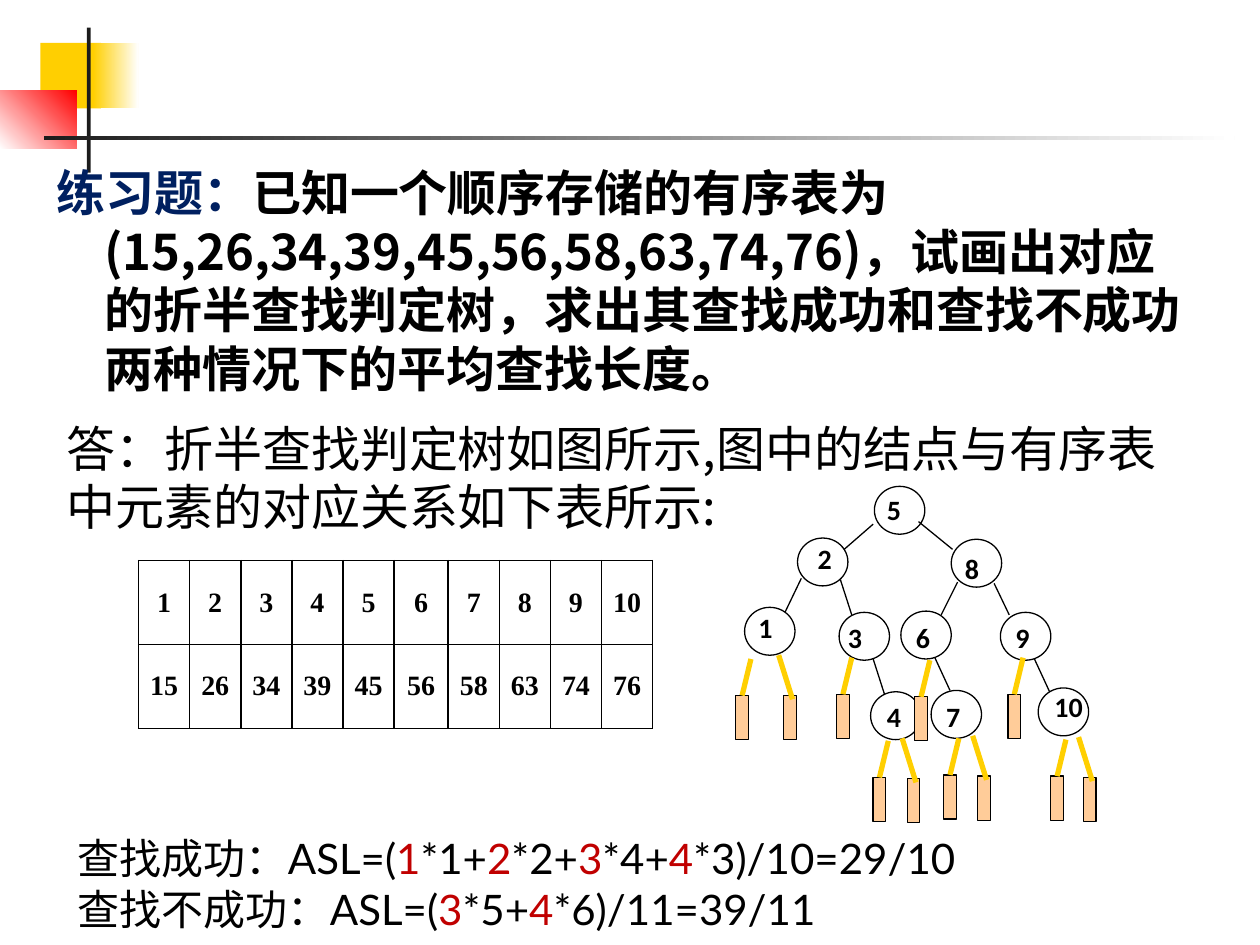
from typing import NamedTuple

from lxml import etree
from pptx import Presentation, util as u
from pptx.dml.color import RGBColor
from pptx.enum import shapes, text
from pptx.oxml import ns

INK = {
    "black": "000000", "white": "FFFFFF", "navy": "002060", "crimson": "C00000",
    "gold": "FFCF01", "red": "FF0000", "coal": "1C1C1C", "peach": "FFCC99",
}
CJK = "Noto Sans CJK SC"
RECT, OVAL = shapes.MSO_SHAPE.RECTANGLE, shapes.MSO_SHAPE.OVAL


class Bar(NamedTuple):
    x: float
    y: float
    w: float
    h: float
    hue: str
    end: str = ""
    angle: float = 0


class Node(NamedTuple):
    label: str
    x: float
    y: float
    dx: float  # offset of the label box from the circle
    dy: float


class Edge(NamedTuple):
    x1: float
    y1: float
    x2: float
    y2: float


class Leaf(NamedTuple):
    x: float
    y: float
    right: bool = False


class Run(NamedTuple):
    words: str
    hue: str = "black"


BARS = [
    Bar(0.32, 0.34, 0.48, 0.52, "gold"),
    Bar(0.74, 0.34, 0.36, 0.52, "gold", "white"),
    Bar(0, 0.72, 0.61, 0.46, "white", "red", 45),
    Bar(0.69, 0.22, 0.03, 1.15, "coal"),
    Bar(0.35, 1.08, 9.45, 0.03, "coal", "white"),
]
NODES = [
    Node("10", 8.24, 5.46, 0.03, -0.04), Node("7", 7.39, 5.48, 0.02, 0.02),
    Node("4", 6.91, 5.49, 0.03, 0.01), Node("5", 6.94, 3.86, 0, 0),
    Node("6", 7.15, 4.85, 0.02, 0.03), Node("9", 7.94, 4.86, 0.02, 0.02),
    Node("8", 7.55, 4.28, 0.01, 0.05), Node("1", 5.91, 4.82, 0.01, -0.02),
    Node("2", 6.33, 4.27, 0.06, -0.02), Node("3", 6.66, 4.86, -0.03, 0.02),
]
EDGES = [
    Edge(6.93, 4.16, 6.7, 4.36), Edge(7.29, 4.14, 7.56, 4.36),
    Edge(6.36, 4.59, 6.23, 4.86), Edge(6.67, 4.6, 6.76, 4.88),
    Edge(6.93, 5.23, 7.02, 5.51), Edge(7.6, 4.62, 7.47, 4.88),
    Edge(7.89, 4.63, 8.01, 4.88), Edge(7.42, 5.22, 7.54, 5.48),
    Edge(8.21, 5.23, 8.33, 5.49),
]
LEAVES = [
    Leaf(5.84, 5.52), Leaf(6.64, 5.51), Leaf(7.26, 5.53), Leaf(8, 5.51),
    Leaf(6.93, 6.17), Leaf(7.49, 6.15), Leaf(8.34, 6.16),
    Leaf(6.22, 5.52, True), Leaf(8.6, 6.17, True),
    Leaf(7.76, 6.16, True), Leaf(7.2, 6.18, True),
]
TASK = [[
    Run("练习题：", "navy"),
    Run("已知一个顺序存储的有序表为(15,26,34,39,45,56,58,63,74,76)，"
        "试画出对应的折半查找判定树，求出其查找成功和查找不成功两种情况下的平均查找长度。"),
]]
ANSWER = [[Run("答：折半查找判定树如图所示,图中的结点与有序表中元素的对应关系如下表所示:")]]
LENGTHS = [
    [Run("查找成功：ASL=("), Run("1", "crimson"), Run("*1+"), Run("2", "crimson"),
     Run("*2+"), Run("3", "crimson"), Run("*4+"), Run("4", "crimson"),
     Run("*3)/10=29/10")],
    [Run("查找不成功：ASL=("), Run("3", "crimson"), Run("*5+"), Run("4", "crimson"),
     Run("*6)/11=39/11")],
]
KEYS = [15, 26, 34, 39, 45, 56, 58, 63, 74, 76]


def rgb(hue: str) -> RGBColor:
    return RGBColor.from_string(INK[hue])


def style(run, face: str, size: float, hue: str, bold: bool) -> None:
    font = run.font
    font.name, font.size, font.bold = face, u.Pt(size), bold
    font.color.rgb = rgb(hue)
    east = etree.SubElement(font._element, ns.qn("a:ea"))
    east.set("typeface", CJK)


def draw_bar(slide, bar: Bar) -> None:
    box = slide.shapes.add_shape(RECT, *map(u.Inches, bar[:4]))
    box.shadow.inherit = False
    box.line.fill.background()
    if not bar.end:
        box.fill.solid()
        box.fill.fore_color.rgb = rgb(bar.hue)
        return
    box.fill.gradient()
    box.fill.gradient_angle = bar.angle
    for stop, hue in zip(box.fill.gradient_stops, (bar.hue, bar.end)):
        stop.color.rgb = rgb(hue)


def draw_shape(slide, kind, x: float, y: float, w: float, h: float, hue: str) -> None:
    item = slide.shapes.add_shape(kind, *map(u.Inches, (x, y, w, h)))
    item.shadow.inherit = False
    item.fill.solid()
    item.fill.fore_color.rgb = rgb(hue)
    item.line.color.rgb = rgb("black")
    item.line.width = u.Pt(0.75)


def draw_line(slide, edge: Edge, hue: str = "black", width: float = 0.75) -> None:
    line = slide.shapes.add_connector(
        shapes.MSO_CONNECTOR.STRAIGHT, *map(u.Inches, edge))
    line.line.color.rgb = rgb(hue)
    line.line.width = u.Pt(width)
    etree.SubElement(line._element.spPr, ns.qn("a:effectLst"))


def draw_text(slide, place: tuple, paras: list, face: str, size: float,
              bold: bool = False, wrap: bool = True, hang: float = 0) -> None:
    """Write paragraphs of runs, with lines 1.2 times the text size apart."""
    frame = slide.shapes.add_textbox(*map(u.Inches, place)).text_frame
    frame.word_wrap = wrap
    for i, runs in enumerate(paras):
        para = frame.add_paragraph() if i else frame.paragraphs[0]
        para.line_spacing = u.Pt(size * 1.2)
        if hang:
            props = para._p.get_or_add_pPr()
            props.set("marL", str(u.Inches(hang)))
            props.set("indent", str(u.Inches(-hang)))
        for part in runs:
            run = para.add_run()
            run.text = part.words
            style(run, face, size, part.hue, bold)


def draw_node(slide, node: Node) -> None:
    draw_shape(slide, OVAL, node.x, node.y, 0.4, 0.38, "white")
    place = (node.x + node.dx, node.y + node.dy, 0.88, 0.64)
    draw_text(slide, place, [[Run(node.label)]], "Calibri", 16, bold=True)


def draw_leaf(slide, leaf: Leaf) -> None:
    x, y = leaf.x, leaf.y
    draw_shape(slide, RECT, x, y, 0.1, 0.35, "peach")
    if leaf.right:
        edge = Edge(x - 0.04, y - 0.32, x + 0.07, y + 0.03)
    else:
        edge = Edge(x + 0.12, y - 0.29, x + 0.05, y)
    draw_line(slide, edge, "gold", 3)


def fill_cell(cell, words: str) -> None:
    cell.fill.background()
    cell.vertical_anchor = text.MSO_ANCHOR.MIDDLE
    cell.margin_left = cell.margin_right = u.Inches(0.07)
    cell.margin_top = cell.margin_bottom = 0
    cell.text_frame.text = words
    para = cell.text_frame.paragraphs[0]
    para.alignment = text.PP_ALIGN.CENTER
    style(para.runs[0], "Times New Roman", 16, "black", True)
    props = cell._tc.get_or_add_tcPr()
    for i, side in enumerate(("lnL", "lnR", "lnT", "lnB")):
        edge = etree.Element(ns.qn("a:" + side), w=str(u.Pt(1)))
        paint = etree.SubElement(edge, ns.qn("a:solidFill"))
        etree.SubElement(paint, ns.qn("a:srgbClr"), val=INK["black"])
        props.insert(i, edge)


def draw_table(slide) -> None:
    rows = [range(1, len(KEYS) + 1), KEYS]
    place = map(u.Inches, (1.1, 4.45, 4.08, 1.33))
    grid = slide.shapes.add_table(len(rows), len(KEYS), *place).table
    wide = 0.43
    for i, col in enumerate(grid.columns):
        col.width = u.Inches(wide if i == 5 else (4.08 - wide) / 9)
    for r, row in enumerate(rows):
        for c, value in enumerate(row):
            fill_cell(grid.cell(r, c), str(value))


def main() -> None:
    deck = Presentation()
    deck.slide_width, deck.slide_height = u.Inches(10), u.Inches(7.5)
    slide = deck.slides.add_slide(deck.slide_layouts[6])
    for bar in BARS:
        draw_bar(slide, bar)
    draw_text(slide, (0.35, 1.24, 9.29, 1.56), TASK, CJK, 28, bold=True, hang=0.38)
    draw_text(slide, (0.43, 3.27, 9.14, 1.04), ANSWER, CJK, 28)
    draw_table(slide)
    for node in NODES:
        draw_node(slide, node)
    for edge in EDGES:
        draw_line(slide, edge)
    draw_text(slide, (0.52, 6.56, 7.5, 1.31), LENGTHS, "Lato", 24, wrap=False)
    for leaf in LEAVES:
        draw_leaf(slide, leaf)
    deck.save("out.pptx")


if __name__ == "__main__":
    main()
